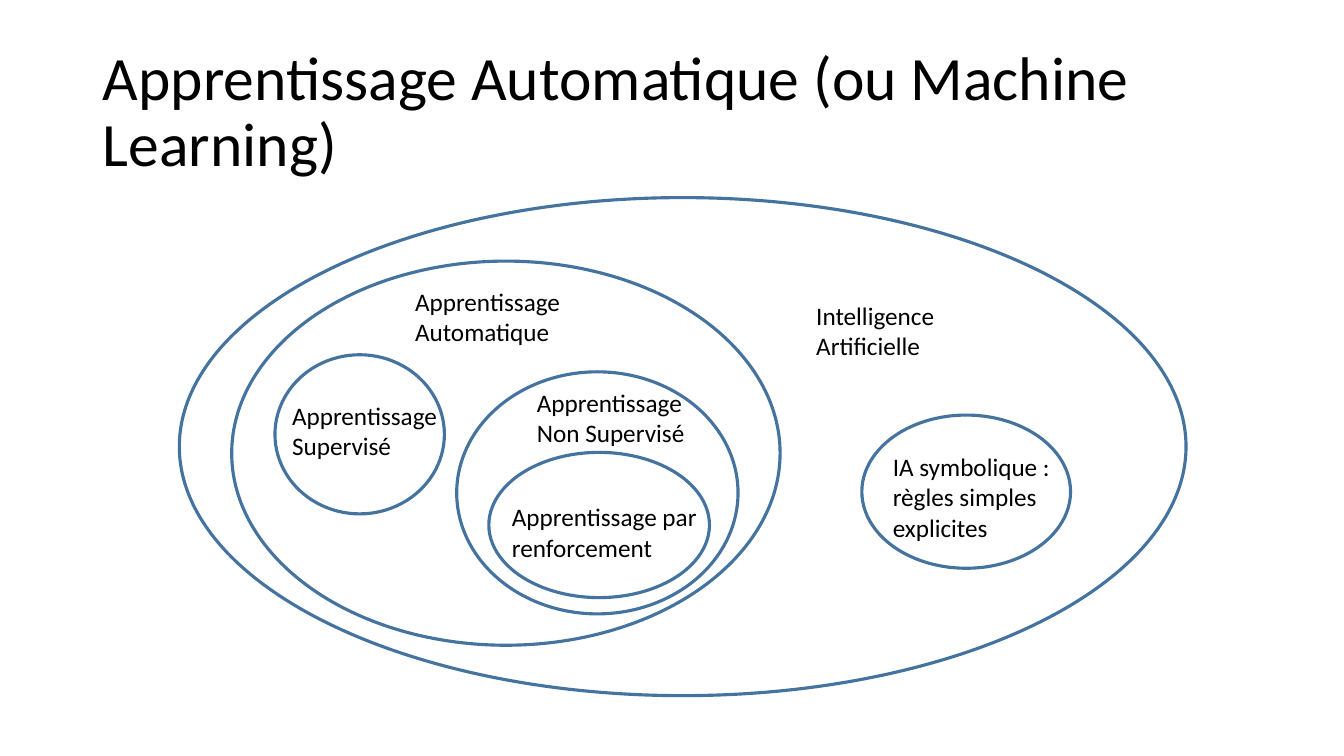
"""Build a slide of nested sets showing the branches of artificial intelligence."""
from dataclasses import dataclass

from pptx import Presentation
from pptx.dml.color import RGBColor
from pptx.enum import shapes, text
from pptx.util import Cm, Pt

HEADING = "Apprentissage Automatique (ou Machine Learning)"
HEADING_BOX = (2.34, 1.02, 29.21, 3.68)

# fields: wording, ellipse (left, top, width, height), label (left, top, width), label lines
DOMAINS = [
    ("Intelligence Artificielle", (4.52, 4.98, 25.37, 12.55), (20.32, 7.44, 4.22), 2),
    ("Apprentissage Automatique", (5.84, 6.58, 13.82, 9.68), (10.21, 7.09, 4.22), 2),
    ("Apprentissage Supervisé", (6.93, 8.94, 4.27, 4.01), (7.11, 9.96, 4.22), 2),
    ("Apprentissage Non Supervisé", (11.51, 9.37, 7.09, 6.1), (13.28, 9.63, 4.47), 2),
    ("Apprentissage par renforcement", (12.32, 11.4, 5.56, 3.66), (12.65, 12.52, 5.21), 2),
    ("IA symbolique : règles simples explicites", (21.72, 10.46, 5.26, 3.86), (22.25, 11.25, 4.55), 3),
]


@dataclass(frozen=True)
class Theme:
    font: str = "Calibri"
    ink: RGBColor = RGBColor(0x00, 0x00, 0x00)
    outline: RGBColor = RGBColor(0x43, 0x73, 0x9E)
    outline_width: Pt = Pt(2.25)
    heading_size: Pt = Pt(44)
    label_size: Pt = Pt(18)
    label_margins: float = 0.26
    label_line: float = 0.77


THEME = Theme()


def lengths(values):
    return [Cm(value) for value in values]


def write(frame, wording, size):
    frame.word_wrap = True
    paragraph = frame.paragraphs[0]
    paragraph.alignment = text.PP_ALIGN.LEFT
    run = paragraph.add_run()
    run.text = wording
    run.font.name = THEME.font
    run.font.size = size
    run.font.color.rgb = THEME.ink
    return paragraph


def add_heading(slide):
    heading = slide.shapes.title
    heading.left, heading.top, heading.width, heading.height = lengths(HEADING_BOX)
    frame = heading.text_frame
    frame.auto_size = text.MSO_AUTO_SIZE.NONE
    frame.vertical_anchor = text.MSO_ANCHOR.MIDDLE
    write(frame, HEADING, THEME.heading_size).line_spacing = 0.9


def add_domain(slide, wording, bounds, place, line_count):
    domain = slide.shapes.add_shape(shapes.MSO_SHAPE.OVAL, *lengths(bounds))
    domain.shadow.inherit = False
    domain.fill.background()
    domain.line.color.rgb = THEME.outline
    domain.line.width = THEME.outline_width

    height = THEME.label_margins + THEME.label_line * line_count
    label = slide.shapes.add_textbox(*lengths((*place, height)))
    write(label.text_frame, wording, THEME.label_size)
    label.text_frame.auto_size = text.MSO_AUTO_SIZE.SHAPE_TO_FIT_TEXT


def main():
    deck = Presentation()
    deck.slide_width, deck.slide_height = lengths((33.87, 19.05))
    slide = deck.slides.add_slide(deck.slide_layouts.get_by_name("Title Only"))
    add_heading(slide)
    for domain in DOMAINS:
        add_domain(slide, *domain)
    deck.save("out.pptx")


if __name__ == "__main__":
    main()
